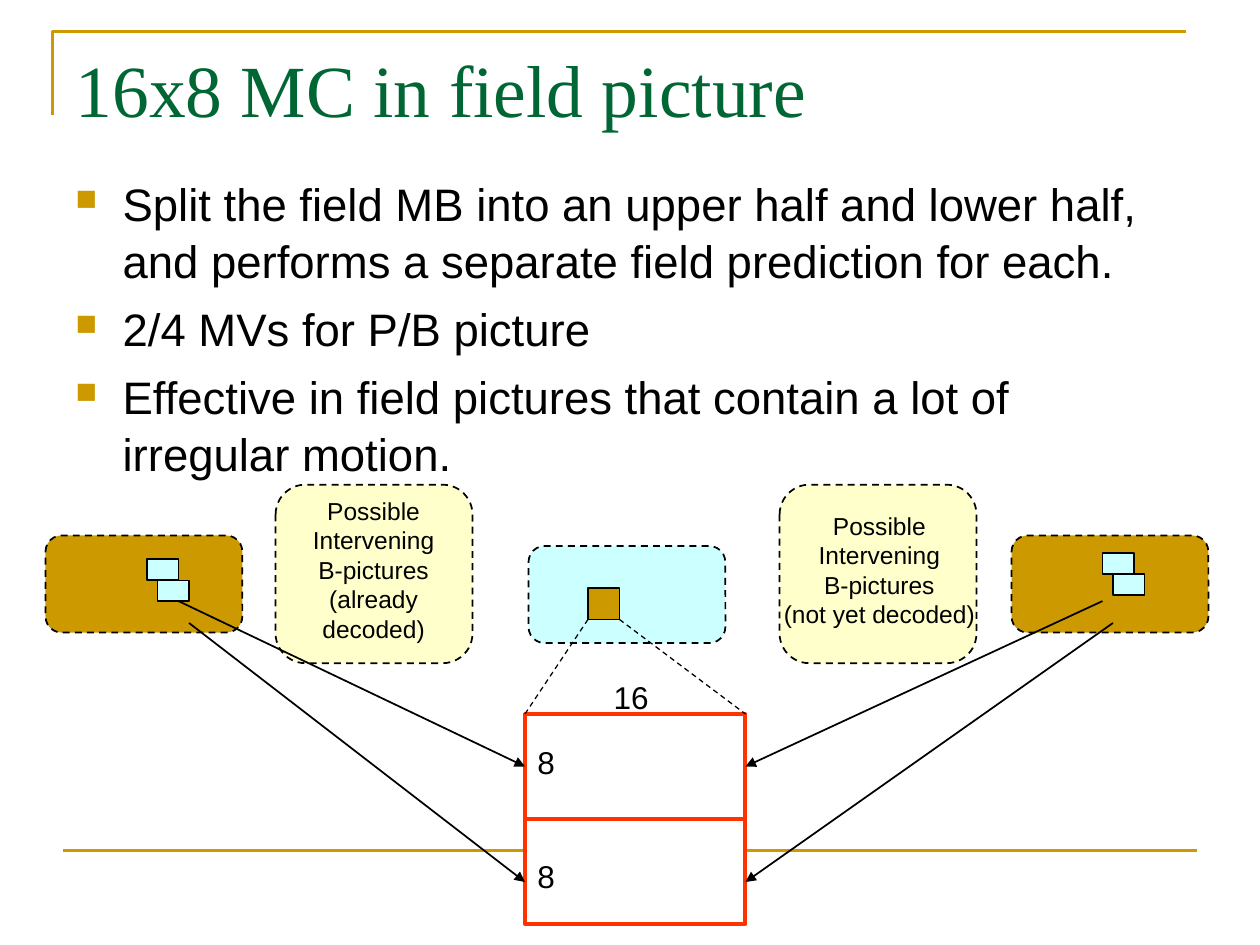
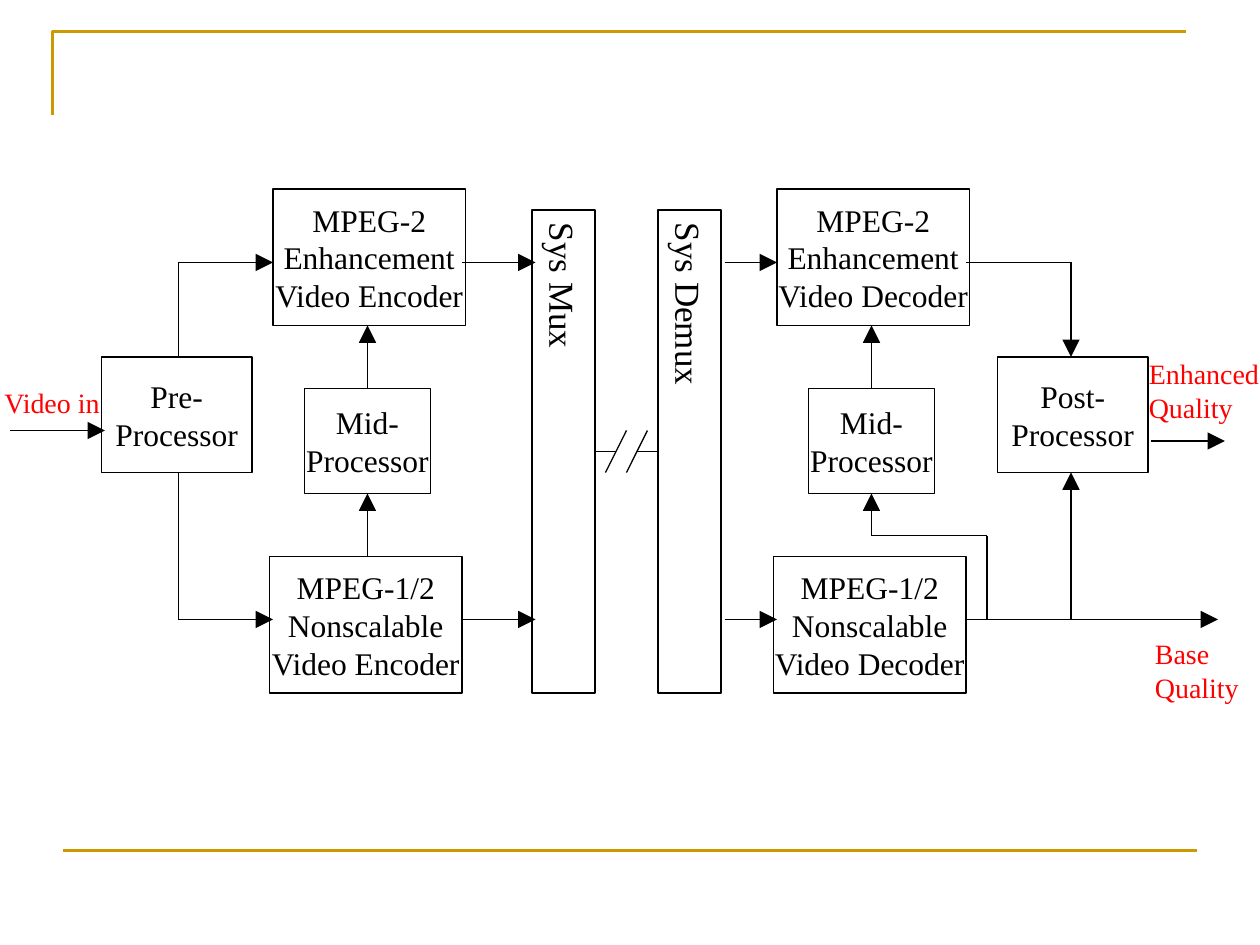
from dataclasses import dataclass

from lxml.etree import SubElement
from pptx import Presentation
from pptx.dml.color import RGBColor
from pptx.enum.dml import MSO_LINE_DASH_STYLE as Dash
from pptx.enum.shapes import MSO_CONNECTOR as Connector
from pptx.enum.shapes import MSO_SHAPE as Shape
from pptx.enum.text import MSO_ANCHOR as Anchor
from pptx.enum.text import MSO_AUTO_SIZE as AutoSize
from pptx.enum.text import PP_ALIGN as Align
from pptx.oxml.ns import qn
from pptx.util import Pt

TOP, LEFT, BOTTOM, RIGHT = range(4)
TITLE_ONLY, BLANK = 5, 6


@dataclass(frozen=True)
class Theme:
    sans: str = "Arial"
    serif: str = "Times New Roman"
    black: str = "000000"
    white: str = "FFFFFF"
    gold: str = "CC9900"
    green: str = "006633"
    cream: str = "FFFFCC"
    cyan: str = "CCFFFF"
    orange: str = "FF3300"
    red: str = "FF0000"
    title_size: float = 42
    body_size: float = 26
    bar_size: float = 20
    label_size: float = 18
    signal_size: float = 16
    note_size: float = 14
    thin: float = 0.75
    medium: float = 1
    rule: float = 1.5
    thick: float = 2.25


THEME = Theme()


class Deck:
    """Holds the presentation, its theme and the slide being drawn."""

    def __init__(self, theme):
        self.theme = theme
        self.presentation = Presentation()
        self.presentation.slide_width = Pt(720)
        self.presentation.slide_height = Pt(540)
        self.slide = None

    def new_slide(self, title=None):
        layout = self.presentation.slide_layouts[BLANK if title is None else TITLE_ONLY]
        self.slide = self.presentation.slides.add_slide(layout)
        self.frame()
        if title is not None:
            self.title(title)

    def frame(self):
        """Gold corner rule at the top and gold line at the foot."""
        builder = self.slide.shapes.build_freeform(Pt(30), Pt(66))
        builder.add_line_segments([(Pt(30), Pt(18)), (Pt(678), Pt(18))], close=False)
        corner = builder.convert_to_shape()
        corner.shadow.inherit = False
        corner.fill.background()
        self.stroke(corner.line, self.theme.gold, self.theme.rule)
        self.line((36, 486), (684, 486), self.theme.gold, self.theme.rule)

    def title(self, text):
        shape = self.slide.shapes.title
        shape.left, shape.top, shape.width, shape.height = map(Pt, (36, 21.5, 648, 90))
        self.set_text(shape.text_frame, [text], self.theme.title_size, self.theme.serif,
                      self.theme.green, wrap=True)
        shape.text_frame.auto_size = AutoSize.NONE

    def stroke(self, line, color, width, dashed=False):
        line.color.rgb = RGBColor.from_string(color)
        line.width = Pt(width)
        if dashed:
            line.dash_style = Dash.DASH

    def set_text(self, frame, lines, size, font, color=None, align=Align.LEFT,
                 anchor=Anchor.TOP, insets=(7.2, 3.6), wrap=False):
        frame.word_wrap = wrap
        frame.vertical_anchor = anchor
        frame.margin_left = frame.margin_right = Pt(insets[0])
        frame.margin_top = frame.margin_bottom = Pt(insets[1])
        for index, text in enumerate(lines):
            paragraph = frame.paragraphs[0] if index == 0 else frame.add_paragraph()
            paragraph.text = text
            paragraph.alignment = align
            paragraph.font.size = Pt(size)
            paragraph.font.name = font
            paragraph.font.color.rgb = RGBColor.from_string(color or self.theme.black)

    def label(self, box, lines, size, font, **style):
        shape = self.slide.shapes.add_textbox(*map(Pt, box))
        self.set_text(shape.text_frame, lines, size, font, **style)
        if not style.get("wrap"):
            shape.text_frame.auto_size = AutoSize.SHAPE_TO_FIT_TEXT
        return shape

    def bullets(self, box, items):
        shape = self.label(box, items, self.theme.body_size, self.theme.sans, wrap=True)
        for paragraph in shape.text_frame.paragraphs:
            paragraph.space_before = Pt(6.5)
            paragraph.line_spacing = 1.04
            properties = paragraph._p.get_or_add_pPr()
            properties.set("marL", str(Pt(27)))
            properties.set("indent", str(Pt(-27)))
            color = SubElement(properties, qn("a:buClr"))
            SubElement(color, qn("a:srgbClr"), val=self.theme.gold)
            SubElement(properties, qn("a:buSzPct"), val="65000")
            SubElement(properties, qn("a:buChar"), char="■")
            # Bullet settings must precede default run properties
            properties.append(properties.find(qn("a:defRPr")))

    def box(self, box, fill=None, color=None, width=None, kind=Shape.RECTANGLE, dashed=False):
        shape = self.slide.shapes.add_shape(kind, *map(Pt, box))
        shape.shadow.inherit = False
        shape.fill.solid()
        shape.fill.fore_color.rgb = RGBColor.from_string(fill or self.theme.white)
        self.stroke(shape.line, color or self.theme.black, width or self.theme.thin, dashed)
        return shape

    def field(self, box, fill):
        """Dashed rounded box that stands for one coded picture."""
        return self.box(box, fill, width=self.theme.medium,
                        kind=Shape.ROUNDED_RECTANGLE, dashed=True)

    def block(self, box, *lines):
        shape = self.box(box)
        self.set_text(shape.text_frame, lines, self.theme.label_size, self.theme.serif,
                      align=Align.CENTER, anchor=Anchor.MIDDLE, insets=(0, 0))
        return shape

    def bar(self, box, text):
        shape = self.box(box)
        self.set_text(shape.text_frame, [text], self.theme.bar_size, self.theme.serif,
                      align=Align.CENTER, anchor=Anchor.MIDDLE, insets=(3.6, 7.2))
        shape.text_frame._txBody.bodyPr.set("vert", "eaVert")
        return shape

    def line(self, start, end, color=None, width=None, dashed=False, head=None,
             begin_at=None, end_at=None):
        """Straight line; head is an arrow size, begin_at and end_at are (shape, side)."""
        connector = self.slide.shapes.add_connector(
            Connector.STRAIGHT, *map(Pt, (*start, *end)))
        self.stroke(connector.line, color or self.theme.black,
                    width or self.theme.thin, dashed)
        if head:
            SubElement(connector.line._get_or_add_ln(), qn("a:tailEnd"),
                       type="triangle", w=head, len=head)
        SubElement(connector._element.spPr, qn("a:effectLst"))
        if begin_at:
            connector.begin_connect(*begin_at)
        if end_at:
            connector.end_connect(*end_at)

    def arrow(self, *points, **joins):
        """Bent line through the points, with a large head on the last leg."""
        legs = list(zip(points, points[1:]))
        for start, end in legs[:-1]:
            self.line(start, end)
        self.line(*legs[-1], head="lg", **joins)


def field_prediction(deck):
    theme = deck.theme
    deck.new_slide("16x8 MC in field picture")
    deck.bullets((36, 96, 648, 386), [
        "Split the field MB into an upper half and lower half, and performs a "
        "separate field prediction for each.",
        "2/4 MVs for P/B picture",
        "Effective in field pictures that contain a lot of irregular motion.",
    ])

    # Macroblock halves
    halves = [deck.box((300, top, 126, 60), color=theme.orange, width=theme.thick)
              for top in (408, 468)]

    # Reference pictures on both sides: arrows lead to the halves
    sides = [
        (26, 157.5, 213.5, "(already decoded)", (84, 319.5), 102, 300, LEFT),
        (578, 445.5, 502.5, "(not yet decoded)", (630, 316), 630, 426, RIGHT),
    ]
    for reference, between, center, status, match, start, edge, side in sides:
        deck.field((between, 277, 112.5, 102), theme.cream)
        deck.field((reference, 306, 112.5, 55.5), theme.gold)
        deck.label((center - 63, 288, 126, 75),
                   ["Possible", "Intervening", "B-pictures", status],
                   theme.note_size, theme.sans, align=Align.CENTER, anchor=Anchor.MIDDLE)
        deck.line((start, 343.5), (edge, 438), width=theme.medium, head="med",
                  end_at=(halves[0], side))
        deck.line((start + 6, 356), (edge, 504), width=theme.medium, head="med")
        for step in range(2):
            deck.box((match[0] + 6 * step, match[1] + 12 * step, 18, 12), theme.cyan)

    # Current picture with its enlarged macroblock
    deck.field((302, 312, 112.5, 55.5), theme.cyan)
    deck.box((336, 336, 18, 18), theme.gold)
    for start, end in ((336, 300), (354, 426)):
        deck.line((start, 354), (end, 408), dashed=True)
    for left, top, width, text in ((343.5, 384, 34.5, "16"), (300, 421, 24.5, "8"),
                                   (300, 486, 24.5, "8")):
        deck.label((left, top, width, 29), [text], theme.label_size, theme.sans)


def scalable_codec(deck):
    theme = deck.theme
    deck.new_slide()
    upper, lower = 150, 354  # heights of the enhancement and base paths

    # System multiplex and the broken channel between its ends
    mux = deck.bar((304, 120, 36, 276), "Sys Mux")
    demux = deck.bar((376, 120, 36, 276), "Sys Demux")
    deck.line((340, 258), (352, 258), begin_at=(mux, RIGHT))
    deck.line((364, 258), (376, 258), end_at=(demux, LEFT))
    for left in (346, 358):
        deck.line((left + 12, 246), (left, 270))

    # Encoder and decoder columns
    middles = []
    for shift, role in ((0, "Encoder"), (288, "Decoder")):
        deck.block((156 + shift, 108, 110, 78), "MPEG-2", "Enhancement", f"Video {role}")
        middle = deck.block((174 + shift, 222, 72, 60), "Mid-", "Processor")
        deck.block((154 + shift, 318, 110, 78), "MPEG-1/2", "Nonscalable", f"Video {role}")
        deck.arrow((210 + shift, 222), (210 + shift, 186), begin_at=(middle, TOP))
        middles.append(middle)
    encoder_middle, decoder_middle = middles
    deck.block((58, 204, 86, 66), "Pre-", "Processor")
    deck.block((570, 204, 86, 66), "Post-", "Processor")

    # Signal paths
    deck.arrow((210, 318), (210, 282), end_at=(encoder_middle, BOTTOM))
    deck.arrow((564, lower), (564, 306), (498, 306), (498, 282),
               end_at=(decoder_middle, BOTTOM))
    for level, exit_side in ((upper, 204), (lower, 270)):
        deck.arrow((102, exit_side), (102, level), (156, level))
        deck.arrow((264, level), (306, level))
        deck.arrow((414, level), (444, level))
    deck.arrow((552, upper), (612, upper), (612, 204))
    deck.arrow((612, lower), (612, 270))
    deck.arrow((552, lower), (696, lower))
    deck.arrow((6, 246), (60, 246))
    deck.arrow((658, 252), (700, 252))

    # Signal names
    for box, lines in (
        ((2.5, 220.5, 55, 19), ["Video in"]),
        ((656.5, 204, 63, 38), ["Enhanced", "Quality"]),
        ((660, 364, 48, 38), ["Base", "Quality"]),
    ):
        deck.label(box, lines, theme.signal_size, theme.serif, color=theme.red, insets=(0, 0))


def main():
    deck = Deck(THEME)
    field_prediction(deck)
    scalable_codec(deck)
    deck.presentation.save("out.pptx")


if __name__ == "__main__":
    main()
